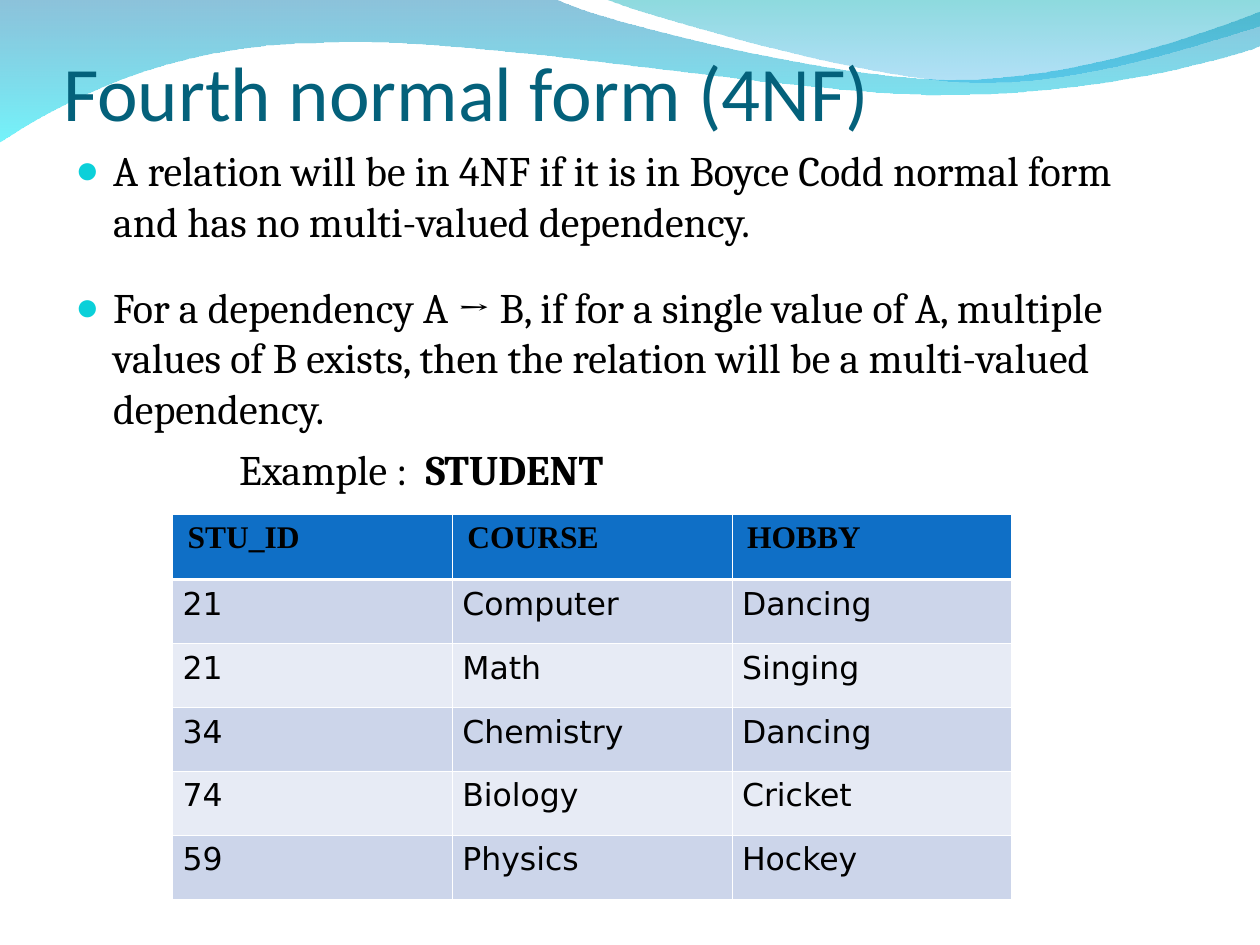
import pptx
import pptx.dml.color
import pptx.enum.text
import pptx.oxml
import pptx.oxml.ns
import pptx.util

RGB = pptx.dml.color.RGBColor
BLACK = RGB(0x00, 0x00, 0x00)
WHITE = RGB(0xFF, 0xFF, 0xFF)
TITLE_TEAL = RGB(0x04, 0x61, 0x7B)
BULLET_CYAN = RGB(0x0B, 0xD0, 0xD9)
HEADER_BLUE = RGB(0x0F, 0x6F, 0xC6)
BAND_DARK = RGB(0xCC, 0xD5, 0xEA)
BAND_LIGHT = RGB(0xE7, 0xEB, 0xF5)
WAVE_BLUE = RGB(0x00, 0x79, 0xAF)
WAVE_AQUA = RGB(0x00, 0xEB, 0xF8)
WAVE_TEAL = RGB(0x00, 0xAD, 0xB6)
WAVE_SKY = RGB(0x00, 0x9B, 0xE5)

# The page is a grid of 10 columns by 7.5 rows of square cells.
COLUMNS, ROWS = 10, 7.5
CELL = pptx.util.Inches(1)
HEADER_HEIGHT = 0.52

# Each wave: start point, then line (one point) or curve (three points) segments,
# and its gradient stops as colour and opacity in percent.
WAVES = [
    ((0, -0.01),
     [[(4.4, -0.01)],
      [(4.76, 0.17), (6.64, 0.63), (7.58, 0.63)],
      [(8.53, 0.63), (9.58, 0.26), (10, 0.09)],
      [(10.01, 0.36)],
      [(9.83, 0.44), (8.7, 0.76), (7.46, 0.75)],
      [(6.22, 0.75), (3.82, 0.28), (2.57, 0.34)],
      [(1.29, 0.35), (0.46, 0.83), (-0.01, 1.13)],
      [(0, -0.01)]],
     [(WAVE_BLUE, 45), (WAVE_AQUA, 55)]),
    ((4.79, -0.01),
     [[(5.09, 0.11), (6.82, 0.62), (7.69, 0.65)],
      [(8.56, 0.69), (9.61, 0.32), (10, 0.21)],
      [(10, 0)],
      [(4.79, -0.01)]],
     [(WAVE_TEAL, 45), (WAVE_SKY, 30)]),
]

STUDENTS = [
    ("STU_ID", "COURSE", "HOBBY"),
    ("21", "Computer", "Dancing"),
    ("21", "Math", "Singing"),
    ("34", "Chemistry", "Dancing"),
    ("74", "Biology", "Cricket"),
    ("59", "Physics", "Hockey"),
]


def add_element(parent, xml):
    """Append a drawing element written without its namespace declaration."""
    namespace = pptx.oxml.ns.nsdecls("a")
    head, mark, tail = xml.partition(" ")
    parent.append(pptx.oxml.parse_xml(f"{head} {namespace}{mark}{tail}"))


def grid_box(box):
    return [round(share * CELL) for share in box]


def add_span(para, words, font, size, colour=BLACK, bold=False):
    span = para.add_run()
    span.text = words
    span.font.name = font
    span.font.size = pptx.util.Pt(size)
    span.font.color.rgb = colour
    span.font.bold = bold


def set_indent(para, left, first):
    properties = para._p.get_or_add_pPr()
    properties.set("marL", str(round(left * CELL)))
    properties.set("indent", str(round(first * CELL)))
    return properties


def bend_segments(wave, segments):
    """Join the three lines of each curve segment into one cubic curve."""
    lines = iter(list(wave.element.iter(pptx.oxml.ns.qn("a:lnTo"))))
    for segment in segments:
        first, *others = [next(lines) for _ in segment]
        if others:
            first.tag = pptx.oxml.ns.qn("a:cubicBezTo")
            for line in others:
                first.append(line[0])
                line.getparent().remove(line)


def add_waves(page, box):
    left, top = box
    for start, segments, stops in WAVES:
        outline = [start, *(point for segment in segments for point in segment)]
        points = [(round((left + x) * CELL), round((top + y) * CELL)) for x, y in outline]
        builder = page.shapes.build_freeform(*points[0], scale=1.0)
        builder.add_line_segments(points[1:], close=True)
        wave = builder.convert_to_shape()
        bend_segments(wave, segments)
        wave.shadow.inherit = False
        wave.line.fill.background()
        wave.fill.gradient()
        wave.fill.gradient_angle = 270
        for position, (stop, (colour, opacity)) in enumerate(
                zip(wave.fill.gradient_stops, stops)):
            stop.position = position
            stop.color.rgb = colour
            colour_node = stop.color._xFill.find(pptx.oxml.ns.qn("a:srgbClr"))
            add_element(colour_node, f'<a:alpha val="{opacity * 1000}"/>')
        # Waves lie behind the title
        page.shapes.title.element.addprevious(wave.element)


def add_title(page, box):
    title = page.shapes.title
    title.left, title.top, title.width, title.height = grid_box(box)
    frame = title.text_frame
    frame.word_wrap = True
    frame.auto_size = pptx.enum.text.MSO_AUTO_SIZE.NONE
    frame.vertical_anchor = pptx.enum.text.MSO_ANCHOR.BOTTOM
    frame.margin_left = frame.margin_right = frame.margin_bottom = 0
    frame.margin_top = pptx.util.Inches(0.05)
    para = frame.paragraphs[0]
    para.alignment = pptx.enum.text.PP_ALIGN.LEFT
    add_span(para, "Fourth normal form (4NF)", "Calibri", 44, TITLE_TEAL)


def add_definition(page, box):
    frame = page.shapes.add_textbox(*grid_box(box)).text_frame
    frame.word_wrap = True
    bullets = [
        ("A relation will be in 4NF if it is in Boyce Codd normal form "
         "and has no multi-valued dependency.", 0),
        ("For a dependency A → B, if for a single value of A, multiple values of B "
         "exists, then the relation will be a multi-valued dependency.", 20.5),
    ]
    for number, (words, space) in enumerate(bullets):
        para = frame.add_paragraph() if number else frame.paragraphs[0]
        para.space_before = pptx.util.Pt(space)
        properties = set_indent(para, 0.3, -0.3)
        add_element(properties, f'<a:buClr ><a:srgbClr val="{BULLET_CYAN}"/></a:buClr>')
        add_element(properties, '<a:buSzPct val="95000"/>')
        add_element(properties, '<a:buFont typeface="Arial"/>')
        add_element(properties, '<a:buChar char="●"/>')
        add_span(para, words, "Cambria", 24)

    # Caption of the table
    caption = frame.add_paragraph()
    caption.space_before = pptx.util.Pt(6)
    set_indent(caption, 1.3, 0)
    add_span(caption, "Example :  ", "Cambria", 24)
    add_span(caption, "STUDENT", "Cambria", 24, bold=True)


def set_borders(cell, row):
    properties = cell._tc.get_or_add_tcPr()
    thick = {0: "lnB", 1: "lnT"}.get(row)
    for side in ("lnL", "lnR", "lnT", "lnB"):
        width = pptx.util.Pt(1.47 if side == thick else 0.45)
        add_element(properties, f'<a:{side} w="{width}"><a:solidFill>'
                    f'<a:srgbClr val="{WHITE}"/></a:solidFill></a:{side}>')


def add_student_table(page, box):
    row_count, column_count = len(STUDENTS), len(STUDENTS[0])
    table = page.shapes.add_table(row_count, column_count, *grid_box(box)).table
    body_height = (box[3] - HEADER_HEIGHT) / (row_count - 1)
    for row, record in enumerate(STUDENTS):
        header = row == 0
        table.rows[row].height = round((HEADER_HEIGHT if header else body_height) * CELL)
        for column, words in enumerate(record):
            cell = table.cell(row, column)
            cell.margin_left = cell.margin_right = pptx.util.Inches(0.12 if header else 0.08)
            set_borders(cell, row)
            cell.fill.solid()
            cell.fill.fore_color.rgb = (
                HEADER_BLUE if header else BAND_DARK if row % 2 else BAND_LIGHT)
            add_span(cell.text_frame.paragraphs[0], words,
                     "Times New Roman" if header else "DejaVu Sans", 18, bold=header)


def main():
    deck = pptx.Presentation()
    deck.slide_width = round(COLUMNS * CELL)
    deck.slide_height = round(ROWS * CELL)
    page = deck.slides.add_slide(deck.slide_layouts.get_by_name("Title Only"))
    add_waves(page, (0, 0))
    add_title(page, (0.5, 0.32, 9, 0.77))
    add_definition(page, (0.5, 1.1, 9, 5.82))
    add_student_table(page, (1.37, 4.08, 6.66, 3.06))
    deck.save("out.pptx")


if __name__ == "__main__":
    main()
